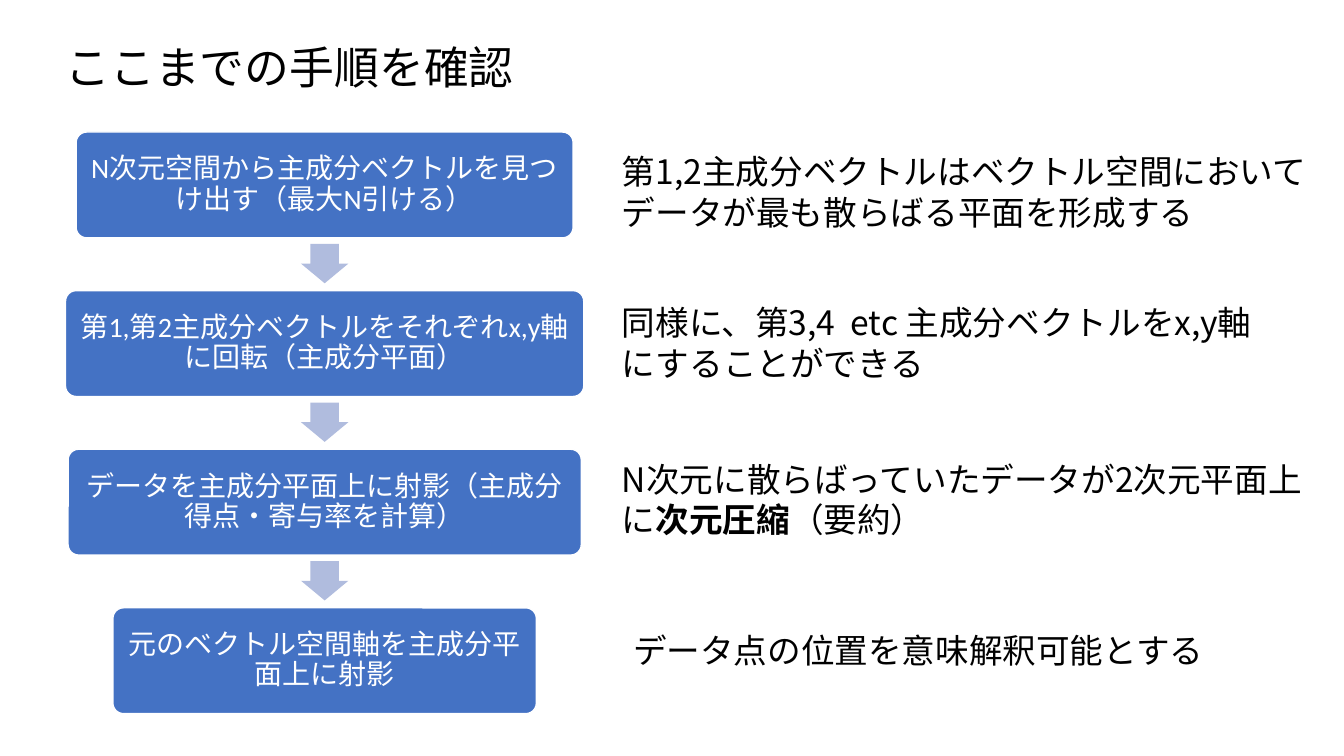
from pptx import Presentation
from pptx.dml.color import RGBColor
from pptx.enum.shapes import MSO_SHAPE
from pptx.enum.text import MSO_ANCHOR, MSO_AUTO_SIZE, PP_ALIGN
from pptx.oxml.ns import qn
from pptx.util import Inches, Pt
from lxml import etree

ROUNDED = MSO_SHAPE.ROUNDED_RECTANGLE
RIGHT_ARROW = MSO_SHAPE.RIGHT_ARROW
MIDDLE, TOP = MSO_ANCHOR.MIDDLE, MSO_ANCHOR.TOP
CENTER, LEFT = PP_ALIGN.CENTER, PP_ALIGN.LEFT
GROW = MSO_AUTO_SIZE.SHAPE_TO_FIT_TEXT

BLACK = RGBColor(0x00, 0x00, 0x00)
WHITE = RGBColor(0xFF, 0xFF, 0xFF)
BLUE = RGBColor(0x44, 0x72, 0xC4)
PALE_BLUE = RGBColor(0xB0, 0xBC, 0xDE)
JAPANESE_FONT = "Noto Sans CJK JP"

FLOW_CENTER = 3.22
FLOW_TOP, FLOW_BOTTOM = 1.31, 6.03
BOX_HEIGHT = 1.05
ARROW_LENGTH, ARROW_BREADTH = 0.39, 0.47
ARROW_OFFSET = 1.07

STEPS = [
    (4.93, "N次元空間から主成分ベクトルを見つけ出す（最大N引ける）"),
    (5.14, "第1,第2主成分ベクトルをそれぞれx,y軸に回転（主成分平面）"),
    (5.09, "データを主成分平面上に射影（主成分得点・寄与率を計算）"),
    (4.2, "元のベクトル空間軸を主成分平面上に射影"),
]
NOTES = [
    ((6.07, 1.45, 7.01, 0.91), True,
     [("第1,2主成分ベクトルはベクトル空間においてデータが最も散らばる平面を形成する", False)]),
    ((6.07, 2.95, 6.52, 0.91), True,
     [("同様に、第3,4  etc 主成分ベクトルをx,y軸にすることができる", False)]),
    ((6.07, 4.5, 7.01, 0.91), True,
     [("N次元に散らばっていたデータが2次元平面上に", False),
      ("次元圧縮", True), ("（要約）", False)]),
    ((6.18, 6.2, 5.92, 0.5), False,
     [("データ点の位置を意味解釈可能とする", False)]),
]


def apply(target, values):
    """Set every attribute named in values."""
    for name, value in values.items():
        setattr(target, name, value)


class ProcedureSlide:
    """Builds the elements of a procedure slide in one style."""

    def __init__(self, presentation):
        self.slide = presentation.slides.add_slide(presentation.slide_layouts[5])
        self.shapes = self.slide.shapes
        self.step_font = {"name": "Calibri", "size": Pt(20)}
        self.note_font = {"name": JAPANESE_FONT, "size": Pt(24)}
        self.title_font = {"name": JAPANESE_FONT, "size": Pt(32)}

    def set_text(self, shape, runs, font, color, frame_values, paragraph_values):
        """Fill a shape with one formatted paragraph."""
        apply(shape.text_frame, frame_values)
        paragraph = shape.text_frame.paragraphs[0]
        apply(paragraph, paragraph_values)
        for text, bold in runs:
            run = paragraph.add_run()
            run.text = text
            apply(run.font, {**font, "bold": bold})
            run.font.color.rgb = color
            properties = run._r.get_or_add_rPr()
            etree.SubElement(properties, qn("a:ea"), typeface=JAPANESE_FONT)

    def title(self, text, bounds):
        """Place and format the title placeholder."""
        shape = self.shapes.title
        names = ("left", "top", "width", "height")
        apply(shape, dict(zip(names, map(Inches, bounds))))
        self.set_text(shape, [(text, False)], self.title_font, BLACK,
                      {"word_wrap": False, "auto_size": GROW, "vertical_anchor": TOP},
                      {"alignment": LEFT})

    def note(self, bounds, wrap, runs):
        """Add an explanation beside a step."""
        shape = self.shapes.add_textbox(*map(Inches, bounds))
        self.set_text(shape, runs, self.note_font, BLACK,
                      {"word_wrap": wrap, "auto_size": GROW}, {"alignment": LEFT})

    def preset(self, kind, bounds, fill, adjustments):
        """Add a filled preset shape without a shadow."""
        shape = self.shapes.add_shape(kind, *map(Inches, bounds))
        shape.shadow.inherit = False
        shape.fill.solid()
        shape.fill.fore_color.rgb = fill
        for index, value in enumerate(adjustments):
            shape.adjustments[index] = value
        return shape

    def step(self, top, width, text):
        """Add a step box centred on the flow."""
        bounds = (FLOW_CENTER - width / 2, top, width, BOX_HEIGHT)
        shape = self.preset(ROUNDED, bounds, BLUE, [0.1])
        shape.line.color.rgb = WHITE
        shape.line.width = Pt(1)
        sides = ("margin_left", "margin_right", "margin_top", "margin_bottom")
        frame = dict.fromkeys(sides, Inches(0.08))
        self.set_text(shape, [(text, False)], self.step_font, WHITE,
                      {**frame, "word_wrap": True, "vertical_anchor": MIDDLE},
                      {"alignment": CENTER, "line_spacing": 0.9, "space_after": Pt(7)})

    def arrow(self, top):
        """Add a downward arrow between two steps."""
        bounds = (FLOW_CENTER - ARROW_LENGTH / 2, top, ARROW_LENGTH, ARROW_BREADTH)
        shape = self.preset(RIGHT_ARROW, bounds, PALE_BLUE, [0.6, 0.5])
        shape.line.fill.background()
        shape.rotation = 90


def main():
    """Build and save the slide."""
    presentation = Presentation()
    apply(presentation, {"slide_width": Inches(13.33), "slide_height": Inches(7.5)})
    page = ProcedureSlide(presentation)
    page.title("ここまでの手順を確認", (0.55, 0.34, 4.69, 0.64))
    pitch = (FLOW_BOTTOM - FLOW_TOP) / (len(STEPS) - 1)
    for index, (width, text) in enumerate(STEPS):
        top = FLOW_TOP + index * pitch
        page.step(top, width, text)
        if index < len(STEPS) - 1:
            page.arrow(top + ARROW_OFFSET)
    for bounds, wrap, runs in NOTES:
        page.note(bounds, wrap, runs)
    presentation.save("out.pptx")


if __name__ == "__main__":
    main()
